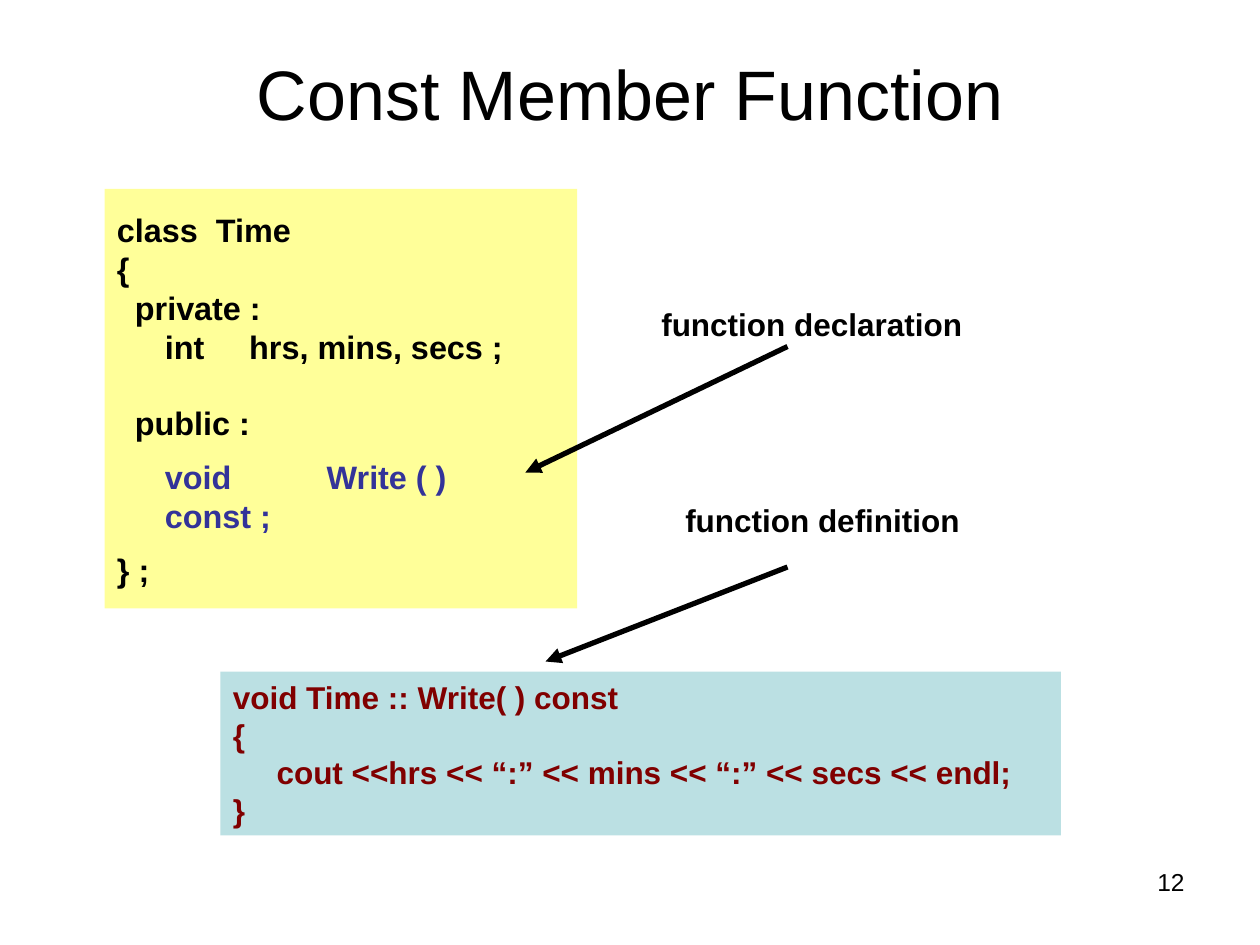
from dataclasses import dataclass

from lxml.etree import SubElement
from pptx import Presentation
from pptx.dml.color import RGBColor
from pptx.enum.shapes import MSO_CONNECTOR, MSO_SHAPE
from pptx.enum.text import MSO_ANCHOR, PP_ALIGN
from pptx.oxml.ns import qn
from pptx.slide import Slide
from pptx.text.text import TextFrame, _Paragraph
from pptx.util import Inches, Pt


@dataclass(frozen=True)
class Theme:
    font: str = "Arial"
    ink: str = "000000"
    declaration: str = "333399"
    definition: str = "800000"
    class_fill: str = "FFFF99"
    definition_fill: str = "BBE0E3"
    title_size: float = 40
    class_size: float = 18.5
    text_size: float = 18
    number_size: float = 14


@dataclass(frozen=True)
class CodeLine:
    text: str
    color: str
    space_before: float = 0


@dataclass(frozen=True)
class CodeBox:
    left: float
    top: float
    width: float
    height: float
    fill: str
    size: float
    lines: tuple[CodeLine, ...]
    top_inset: float = 0.05
    hanging: float = 0


@dataclass(frozen=True)
class Label:
    text: str
    left: float
    top: float
    width: float
    height: float
    size: float
    align: PP_ALIGN = PP_ALIGN.LEFT
    bold: bool = True
    wrap: bool = False


@dataclass(frozen=True)
class Arrow:
    start: tuple[float, float]
    end: tuple[float, float]


THEME = Theme()
SMALL_GAP = 8.5
LINE_GAP = 21.3

CLASS_CODE = CodeBox(
    0.83, 1.5, 3.75, 3.33, THEME.class_fill, THEME.class_size,
    (
        CodeLine("class  Time", THEME.ink),
        CodeLine("{", THEME.ink),
        CodeLine("  private :", THEME.ink),
        CodeLine("\tint     hrs, mins, secs ;", THEME.ink),
        CodeLine("  public :", THEME.ink, LINE_GAP),
        CodeLine("\tvoid\t    Write ( )  const ;", THEME.declaration, SMALL_GAP),
        CodeLine("} ;", THEME.ink, SMALL_GAP),
    ),
    top_inset=0.17,
    hanging=0.38,
)
DEFINITION_CODE = CodeBox(
    1.75, 5.33, 6.67, 1.3, THEME.definition_fill, THEME.text_size,
    tuple(
        CodeLine(text, THEME.definition)
        for text in (
            "void Time :: Write( ) const",
            "{",
            "     cout <<hrs << “:” << mins << “:” << secs << endl;",
            "}",
        )
    ),
)
LABELS = (
    Label("function declaration", 5.15, 2.37, 2.59, 0.4, THEME.text_size),
    Label("function definition", 5.34, 3.93, 2.38, 0.4, THEME.text_size),
    Label("12", 7.17, 6.83, 2.33, 0.52, THEME.number_size,
          PP_ALIGN.RIGHT, bold=False, wrap=True),
)
ARROWS = (
    Arrow((6.25, 2.75), (4.17, 3.75)),
    Arrow((6.25, 4.5), (4.33, 5.25)),
)


def format_runs(paragraph: _Paragraph, size: float, color: str, bold: bool) -> None:
    for run in paragraph.runs:
        run.font.name = THEME.font
        run.font.size = Pt(size)
        run.font.bold = bold
        run.font.color.rgb = RGBColor.from_string(color)


def set_code_indent(paragraph: _Paragraph, hanging: float) -> None:
    properties = paragraph._p.get_or_add_pPr()
    properties.set("marL", str(Inches(hanging)))
    properties.set("indent", str(-Inches(hanging)))
    tab_stops = SubElement(properties, qn("a:tabLst"))
    for inch in range(8):
        SubElement(tab_stops, qn("a:tab"), pos=str(Inches(inch)), algn="l")


def fill_code(frame: TextFrame, code: CodeBox) -> None:
    frame.text = "\n".join(line.text for line in code.lines)
    for paragraph, line in zip(frame.paragraphs, code.lines):
        set_code_indent(paragraph, code.hanging)
        paragraph.alignment = PP_ALIGN.LEFT
        if line.space_before:
            paragraph.space_before = Pt(line.space_before)
        format_runs(paragraph, code.size, line.color, bold=True)


def draw_code(slide: Slide, code: CodeBox) -> None:
    panel = slide.shapes.add_shape(
        MSO_SHAPE.RECTANGLE, Inches(code.left), Inches(code.top),
        Inches(code.width), Inches(code.height),
    )
    panel.shadow.inherit = False
    panel.fill.solid()
    panel.fill.fore_color.rgb = RGBColor.from_string(code.fill)
    panel.line.fill.background()
    frame = panel.text_frame
    frame.word_wrap = True
    frame.vertical_anchor = MSO_ANCHOR.TOP
    frame.margin_top = Inches(code.top_inset)
    fill_code(frame, code)


def draw_label(slide: Slide, label: Label) -> None:
    frame = slide.shapes.add_textbox(
        Inches(label.left), Inches(label.top),
        Inches(label.width), Inches(label.height),
    ).text_frame
    frame.word_wrap = label.wrap
    frame.text = label.text
    paragraph = frame.paragraphs[0]
    paragraph.alignment = label.align
    format_runs(paragraph, label.size, THEME.ink, label.bold)


def draw_arrow(slide: Slide, arrow: Arrow) -> None:
    connector = slide.shapes.add_connector(
        MSO_CONNECTOR.STRAIGHT,
        *(Inches(length) for length in arrow.start + arrow.end),
    )
    connector.line.width = Pt(3)
    connector.line.color.rgb = RGBColor.from_string(THEME.ink)
    SubElement(connector.line._get_or_add_ln(), qn("a:tailEnd"), type="triangle")
    SubElement(connector._element.spPr, qn("a:effectLst"))


def draw_title(slide: Slide, text: str) -> None:
    title = slide.shapes.title
    title.left, title.top = Inches(0.5), Inches(0.3)
    title.width, title.height = Inches(9), Inches(0.87)
    frame = title.text_frame
    frame.text = text
    frame.vertical_anchor = MSO_ANCHOR.MIDDLE
    frame.paragraphs[0].alignment = PP_ALIGN.CENTER
    format_runs(frame.paragraphs[0], THEME.title_size, THEME.ink, bold=False)


def main() -> None:
    presentation = Presentation()
    presentation.slide_width, presentation.slide_height = Inches(10), Inches(7.5)
    slide = presentation.slides.add_slide(presentation.slide_layouts[5])
    draw_title(slide, "Const Member Function")
    for code in (CLASS_CODE, DEFINITION_CODE):
        draw_code(slide, code)
    for label in LABELS:
        draw_label(slide, label)
    for arrow in ARROWS:
        draw_arrow(slide, arrow)
    presentation.save("out.pptx")


if __name__ == "__main__":
    main()
